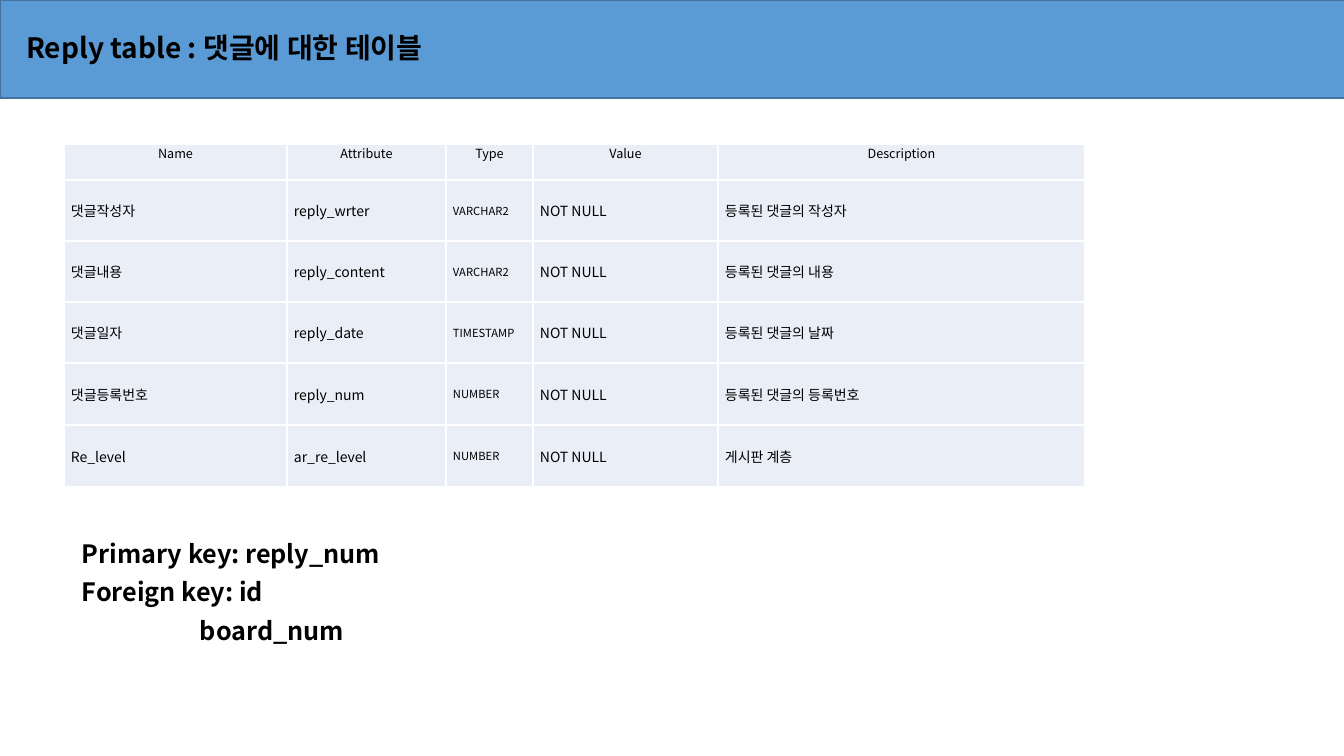
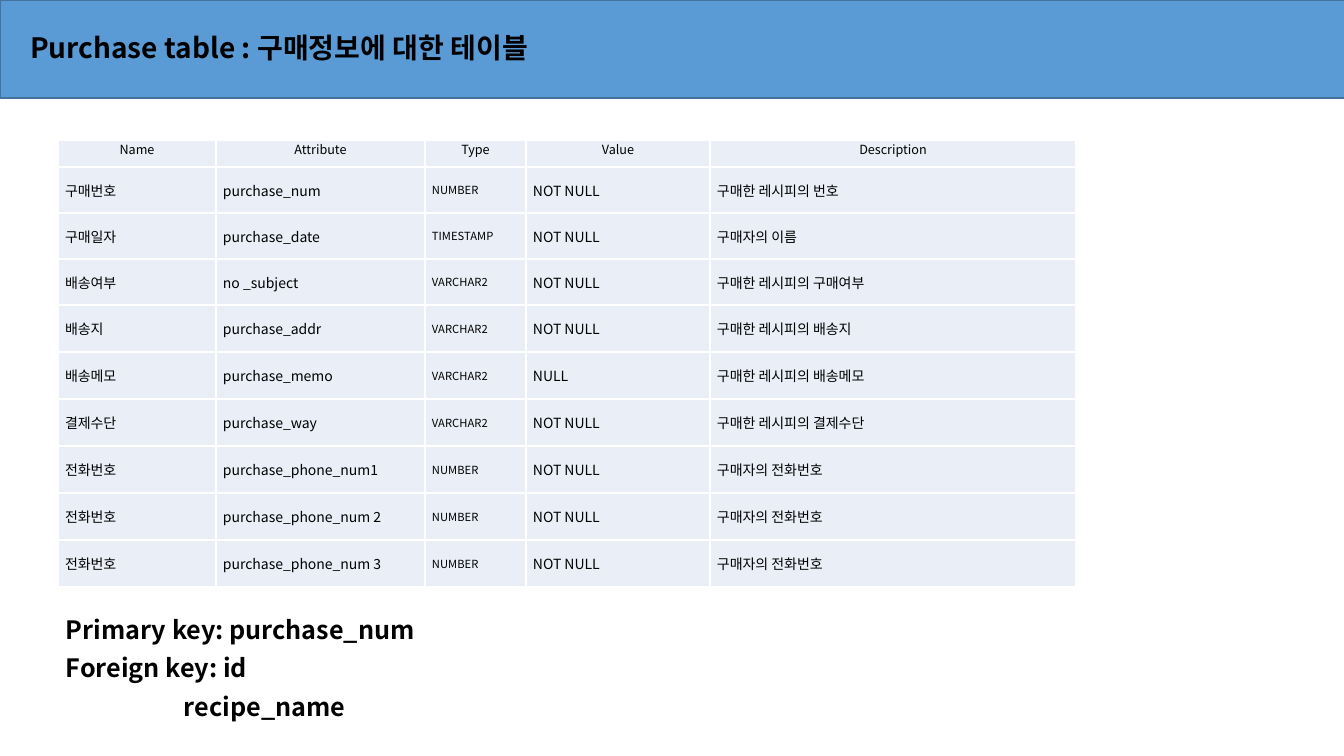
from dataclasses import dataclass

from lxml import etree
from pptx import Presentation
from pptx import util as u
from pptx.dml.color import RGBColor
from pptx.enum import shapes, text
from pptx.oxml.ns import qn

PX = 914400 / 100.8


@dataclass(frozen=True)
class Theme:
    font: str = "Noto Sans CJK KR"
    ink: str = "000000"
    band: str = "5B9BD5"
    band_line: str = "43739E"
    cell: str = "EAEFF7"
    border: str = "FFFFFF"
    title: int = 20
    keys: int = 18
    head: int = 9
    body: int = 10
    data_type: int = 8


THEME = Theme()
SLIDE_W, SLIDE_H = 1344, 756
BAND = (0, 0, 1356, 98)
TITLE_TOP, TITLE_W, TITLE_H = 20, 1024, 58
KEYS_W, KEYS_H = 672, 119
KEY_INDENT, EXTRA_KEY_INDENT = 56, 174
CELL_INSET = 7
HEADINGS = ("Name", "Attribute", "Type", "Value", "Description")
TYPE_COLUMN = HEADINGS.index("Type")

REPLY = dict(
    title="Reply table : 댓글에 대한 테이블",
    title_left=16,
    table_at=(64, 144),
    columns=(223, 159, 87, 185, 367),
    row_heights=[36] + [61] * 3 + [62] * 2,
    rows=(
        ("댓글작성자", "reply_wrter", "VARCHAR2", "NOT NULL", "등록된 댓글의 작성자"),
        ("댓글내용", "reply_content", "VARCHAR2", "NOT NULL", "등록된 댓글의 내용"),
        ("댓글일자", "reply_date", "TIMESTAMP", "NOT NULL", "등록된 댓글의 날짜"),
        ("댓글등록번호", "reply_num", "NUMBER", "NOT NULL", "등록된 댓글의 등록번호"),
        ("Re_level", "ar_re_level", "NUMBER", "NOT NULL", "게시판 계층"),
    ),
    keys_at=(16, 533),
    keys=("Primary key: reply_num", "Foreign key: id", "board_num"),
)

PURCHASE = dict(
    title="Purchase table : 구매정보에 대한 테이블",
    title_left=20,
    table_at=(58, 140),
    columns=(158, 209, 101, 184, 366),
    row_heights=[27] + [46] * 3 + [47] * 6,
    rows=(
        ("구매번호", "purchase_num", "NUMBER", "NOT NULL", "구매한 레시피의 번호"),
        ("구매일자", "purchase_date", "TIMESTAMP", "NOT NULL", "구매자의 이름"),
        ("배송여부", "no _subject", "VARCHAR2", "NOT NULL", "구매한 레시피의 구매여부"),
        ("배송지", "purchase_addr", "VARCHAR2", "NOT NULL", "구매한 레시피의 배송지"),
        ("배송메모", "purchase_memo", "VARCHAR2", "NULL", "구매한 레시피의 배송메모"),
        ("결제수단", "purchase_way", "VARCHAR2", "NOT NULL", "구매한 레시피의 결제수단"),
        ("전화번호", "purchase_phone_num1", "NUMBER", "NOT NULL", "구매자의 전화번호"),
        ("전화번호", "purchase_phone_num 2", "NUMBER", "NOT NULL", "구매자의 전화번호"),
        ("전화번호", "purchase_phone_num 3", "NUMBER", "NOT NULL", "구매자의 전화번호"),
    ),
    keys_at=(0, 609),
    keys=("Primary key: purchase_num", "Foreign key: id", "recipe_name"),
)


def px(length):
    return u.Emu(round(length * PX))


def box(*lengths):
    return [px(length) for length in lengths]


def apply(target, formats):
    for name, value in formats.items():
        setattr(target, name, value)


def write(paragraph, words, size, bold=False, **formats):
    apply(paragraph, formats)
    run = paragraph.add_run()
    run.text = words
    apply(run.font, dict(name=THEME.font, size=u.Pt(size), bold=bold))
    run.font.color.rgb = RGBColor.from_string(THEME.ink)
    etree.SubElement(run.font._element, qn("a:ea"), typeface=THEME.font)


def add_band(slide, bounds):
    band = slide.shapes.add_shape(shapes.MSO_SHAPE.RECTANGLE, *box(*bounds))
    band.shadow.inherit = False
    band.fill.solid()
    band.fill.fore_color.rgb = RGBColor.from_string(THEME.band)
    band.line.color.rgb = RGBColor.from_string(THEME.band_line)
    band.line.width = u.Pt(1)
    slide.shapes._spTree.remove(band._element)
    slide.shapes._spTree.insert(2, band._element)


def add_title(slide, words, bounds):
    title = slide.shapes.title
    apply(title, dict(zip(("left", "top", "width", "height"), box(*bounds))))
    frame = title.text_frame
    apply(frame, dict(vertical_anchor=text.MSO_ANCHOR.MIDDLE, word_wrap=True))
    write(frame.paragraphs[0], words, THEME.title, bold=True,
          alignment=text.PP_ALIGN.LEFT, line_spacing=0.9)


def border_cell(cell):
    properties = cell._tc.get_or_add_tcPr()
    for position, side in enumerate(("lnL", "lnR", "lnT", "lnB")):
        edge = etree.Element(qn(f"a:{side}"), w=str(u.Pt(1)))
        fill = etree.SubElement(edge, qn("a:solidFill"))
        etree.SubElement(fill, qn("a:srgbClr"), val=THEME.border)
        properties.insert(position, edge)


def fill_cell(cell, words, size, anchor, alignment):
    apply(cell, dict(margin_left=px(CELL_INSET), margin_right=px(CELL_INSET),
                     margin_top=0, margin_bottom=0, vertical_anchor=anchor))
    cell.fill.solid()
    cell.fill.fore_color.rgb = RGBColor.from_string(THEME.cell)
    border_cell(cell)
    write(cell.text_frame.paragraphs[0], words, size,
          alignment=alignment, space_after=u.Pt(6))


def add_columns_table(slide, origin, columns, row_heights, rows):
    bounds = box(*origin, sum(columns), sum(row_heights))
    table = slide.shapes.add_table(len(row_heights), len(columns), *bounds).table
    apply(table, dict(first_row=False, horz_banding=False))
    for column, width in zip(table.columns, columns):
        column.width = px(width)
    for row, height in zip(table.rows, row_heights):
        row.height = px(height)
    for c, heading in enumerate(HEADINGS):
        fill_cell(table.cell(0, c), heading, THEME.head,
                  text.MSO_ANCHOR.TOP, text.PP_ALIGN.CENTER)
    for r, row in enumerate(rows, 1):
        for c, words in enumerate(row):
            size = THEME.data_type if c == TYPE_COLUMN else THEME.body
            fill_cell(table.cell(r, c), words, size,
                      text.MSO_ANCHOR.MIDDLE, text.PP_ALIGN.LEFT)


def add_keys(slide, keys, bounds):
    frame = slide.shapes.add_textbox(*box(*bounds)).text_frame
    apply(frame, dict(word_wrap=True, auto_size=text.MSO_AUTO_SIZE.SHAPE_TO_FIT_TEXT))
    indents = ((0, KEY_INDENT), (0, KEY_INDENT), (EXTRA_KEY_INDENT, 0))
    for i, (key, (margin, indent)) in enumerate(zip(keys, indents)):
        paragraph = frame.add_paragraph() if i else frame.paragraphs[0]
        properties = paragraph._p.get_or_add_pPr()
        properties.set("marL", str(px(margin)))
        properties.set("indent", str(px(indent)))
        align = text.PP_ALIGN.JUSTIFY if indent else text.PP_ALIGN.LEFT
        write(paragraph, key, THEME.keys, bold=True,
              alignment=align, space_after=u.Pt(6))


def add_table_slide(deck, content):
    slide = deck.slides.add_slide(deck.slide_layouts[5])
    add_band(slide, BAND)
    add_title(slide, content["title"],
              (content["title_left"], TITLE_TOP, TITLE_W, TITLE_H))
    add_columns_table(slide, content["table_at"], content["columns"],
                      content["row_heights"], content["rows"])
    add_keys(slide, content["keys"], (*content["keys_at"], KEYS_W, KEYS_H))


def main():
    deck = Presentation()
    apply(deck, dict(slide_width=px(SLIDE_W), slide_height=px(SLIDE_H)))
    for content in (REPLY, PURCHASE):
        add_table_slide(deck, content)
    deck.save("out.pptx")


if __name__ == "__main__":
    main()
